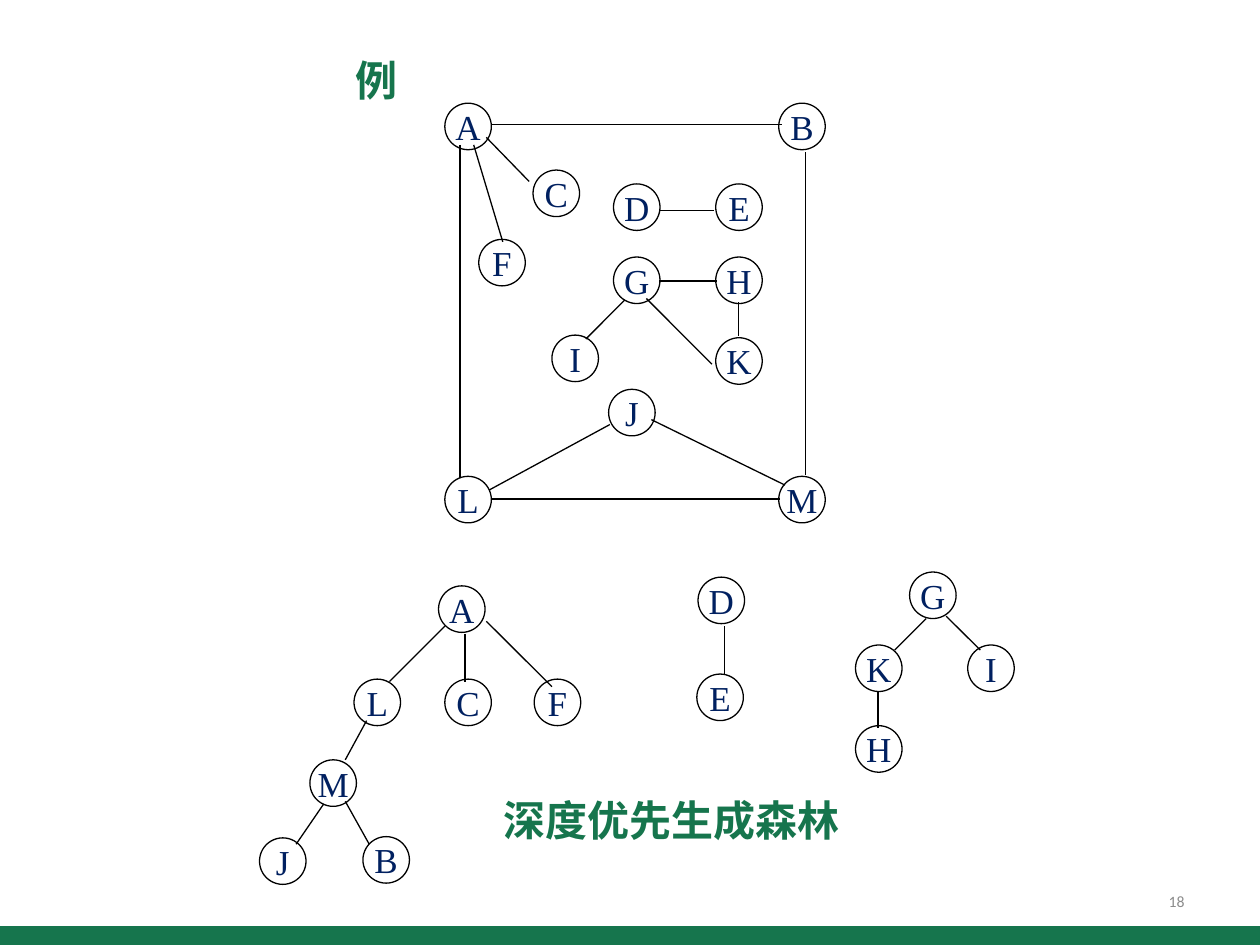
from dataclasses import dataclass

import pptx
import pptx.dml.color
import pptx.enum.shapes
import pptx.enum.text
import pptx.oxml.ns
import pptx.util
from lxml import etree

Pt = pptx.util.Pt
SHAPE = pptx.enum.shapes.MSO_SHAPE
ALIGN = pptx.enum.text.PP_ALIGN

GREEN, NAVY, BLACK, GRAY = "16754D", "002060", "000000", "8C8C8C"
HEAD, SERIF, SANS = "Noto Sans CJK SC", "Times New Roman", "Calibri"
SIZE = 26.6  # node diameter


@dataclass
class Node:
    name: str
    left: float
    top: float


@dataclass
class Edge:
    x1: float
    y1: float
    x2: float
    y2: float


# Graph at the top
GRAPH = [
    Node("A", 254.2, 59), Node("B", 445, 59),
    Node("L", 254.2, 272.2), Node("M", 445, 272.2),
    Node("C", 304.6, 97.2), Node("F", 273.6, 136.8),
    Node("D", 350.6, 105.1), Node("E", 409, 105.1),
    Node("G", 350.6, 146.9), Node("H", 409, 146.9),
    Node("K", 409, 193), Node("I", 315.4, 191.5),
    Node("J", 347.8, 222.5),
]
LINKS = [
    Edge(376.6, 120.2, 408.2, 120.2),  # D-E
    Edge(376.6, 160.6, 409.7, 160.6),  # G-H
    Edge(421.9, 172.8, 421.9, 192.2),  # H-K
    Edge(369.4, 170.6, 406.8, 208.1),  # G-K
    Edge(357.1, 171.4, 334.8, 193.7),  # G-I
    Edge(277.9, 78.5, 302.4, 103.7),   # A-C
    Edge(270.7, 82.8, 287.3, 138.2),   # A-F
    Edge(280.8, 71.3, 447.1, 71.3),    # A-B
    Edge(262.8, 82.8, 262.8, 272.9),   # A-L
    Edge(280.8, 285.1, 445.7, 285.1),  # L-M
    Edge(460.1, 87.1, 460.1, 271.4),   # B-M
    Edge(279.4, 280.1, 348.5, 242.6),  # L-J
    Edge(372.2, 239.8, 448.6, 277.2),  # J-M
]

# Depth-first forest below
TREES = [
    Node("A", 250.6, 334.8), Node("L", 202.3, 388.1),
    Node("C", 254.2, 388.1), Node("F", 305.3, 388.1),
    Node("M", 177.1, 434.2), Node("J", 148.3, 478.8),
    Node("B", 207.4, 478.1),
    Node("D", 398.9, 329.8), Node("E", 398.2, 385.2),
    Node("G", 519.8, 326.9), Node("K", 488.9, 368.6),
    Node("I", 553, 368.6), Node("H", 488.9, 414.7),
]
STEMS = [
    Edge(265.7, 362.2, 265.7, 389.5),  # A-C
    Edge(254.2, 357.8, 222.5, 389.5),  # A-L
    Edge(277.9, 355, 315.4, 392.4),    # A-F
    Edge(209.5, 411.8, 197.3, 434.2),  # L-M
    Edge(185, 459.4, 169.2, 482.4),    # M-J
    Edge(197.3, 457.9, 211, 482.4),    # M-B
    Edge(414, 357.8, 414, 385.9),      # D-E
    Edge(529.2, 353.5, 511.2, 371.5),  # G-K
    Edge(540.7, 352.1, 560.2, 371.5),  # G-I
    Edge(501.8, 395.3, 501.8, 416.2),  # K-H
]


def paint(hue: str) -> pptx.dml.color.RGBColor:
    return pptx.dml.color.RGBColor.from_string(hue)


def write(shape, text: str, *, size: float, font: str, hue: str,
          bold: bool = False, align=ALIGN.CENTER, wrap: bool = False,
          grow: bool = False, inset: bool = True) -> None:
    """Put one formatted line of text into a shape."""
    frame = shape.text_frame
    frame.word_wrap = wrap
    auto = pptx.enum.text.MSO_AUTO_SIZE
    frame.auto_size = auto.SHAPE_TO_FIT_TEXT if grow else auto.NONE
    frame.vertical_anchor = pptx.enum.text.MSO_ANCHOR.MIDDLE
    if not inset:
        frame.margin_left = frame.margin_right = Pt(0)
        frame.margin_top = frame.margin_bottom = Pt(0)
    para = frame.paragraphs[0]
    para.alignment = align
    run = para.add_run()
    run.text = text
    face = run.font
    face.size, face.bold, face.name = Pt(size), bold, font
    face.color.rgb = paint(hue)
    # East Asian letters take their own font
    asian = etree.SubElement(run._r.rPr, pptx.oxml.ns.qn("a:ea"))
    asian.set("typeface", font)


def place(shape, left: float, top: float, width: float, height: float) -> None:
    shape.left, shape.top = Pt(left), Pt(top)
    shape.width, shape.height = Pt(width), Pt(height)


def label(slide, left: float, top: float, width: float, height: float):
    return slide.shapes.add_textbox(Pt(left), Pt(top), Pt(width), Pt(height))


def circle(slide, node: Node) -> None:
    disc = slide.shapes.add_shape(SHAPE.OVAL, Pt(node.left), Pt(node.top),
                                  Pt(SIZE), Pt(SIZE))
    disc.shadow.inherit = False
    disc.fill.background()
    disc.line.color.rgb = paint(BLACK)
    disc.line.width = Pt(0.75)
    write(disc, node.name, size=20, font=SERIF, hue=NAVY, inset=False)


def join(slide, edge: Edge) -> None:
    line = slide.shapes.add_connector(
        pptx.enum.shapes.MSO_CONNECTOR.STRAIGHT,
        Pt(edge.x1), Pt(edge.y1), Pt(edge.x2), Pt(edge.y2))
    line.line.color.rgb = paint(BLACK)
    line.line.width = Pt(0.75)
    etree.SubElement(line._element.spPr, pptx.oxml.ns.qn("a:effectLst"))


def main() -> None:
    deck = pptx.Presentation()
    deck.slide_width, deck.slide_height = Pt(720), Pt(540)
    slide = deck.slides.add_slide(deck.slide_layouts.get_by_name("Title Only"))

    # Title
    title = slide.shapes.title
    place(title, 195.8, 27.4, 38.9, 36.7)
    write(title, "例", size=24, font=HEAD, hue=GREEN, bold=True, grow=True)

    # Footer bar and page number
    bar = slide.shapes.add_shape(SHAPE.RECTANGLE, Pt(0), Pt(529.2),
                                 Pt(720), Pt(10.8))
    bar.shadow.inherit = False
    bar.fill.solid()
    bar.fill.fore_color.rgb = paint(GREEN)
    bar.line.fill.background()
    write(label(slide, 516.2, 500.4, 167.8, 28.8), "18", size=9, font=SANS,
          hue=GRAY, align=ALIGN.RIGHT, wrap=True)

    # Graph and forest
    for nodes, edges in ((GRAPH, LINKS), (TREES, STEMS)):
        for node in nodes:
            circle(slide, node)
        for edge in edges:
            join(slide, edge)

    # Forest caption
    write(label(slide, 279.4, 450, 208.1, 36.7), "深度优先生成森林",
          size=24, font=HEAD, hue=GREEN, bold=True, grow=True)

    deck.save("out.pptx")


if __name__ == "__main__":
    main()
